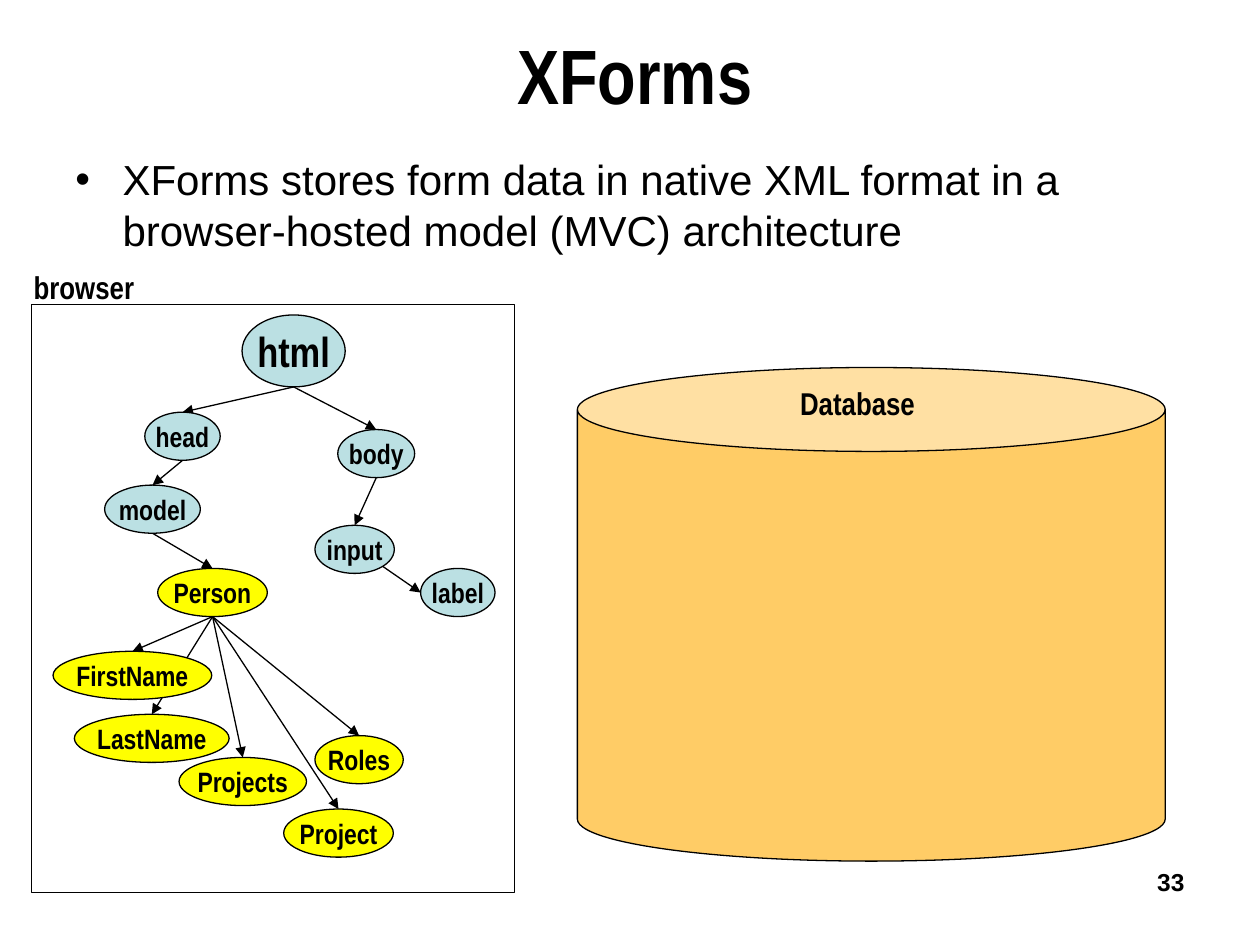
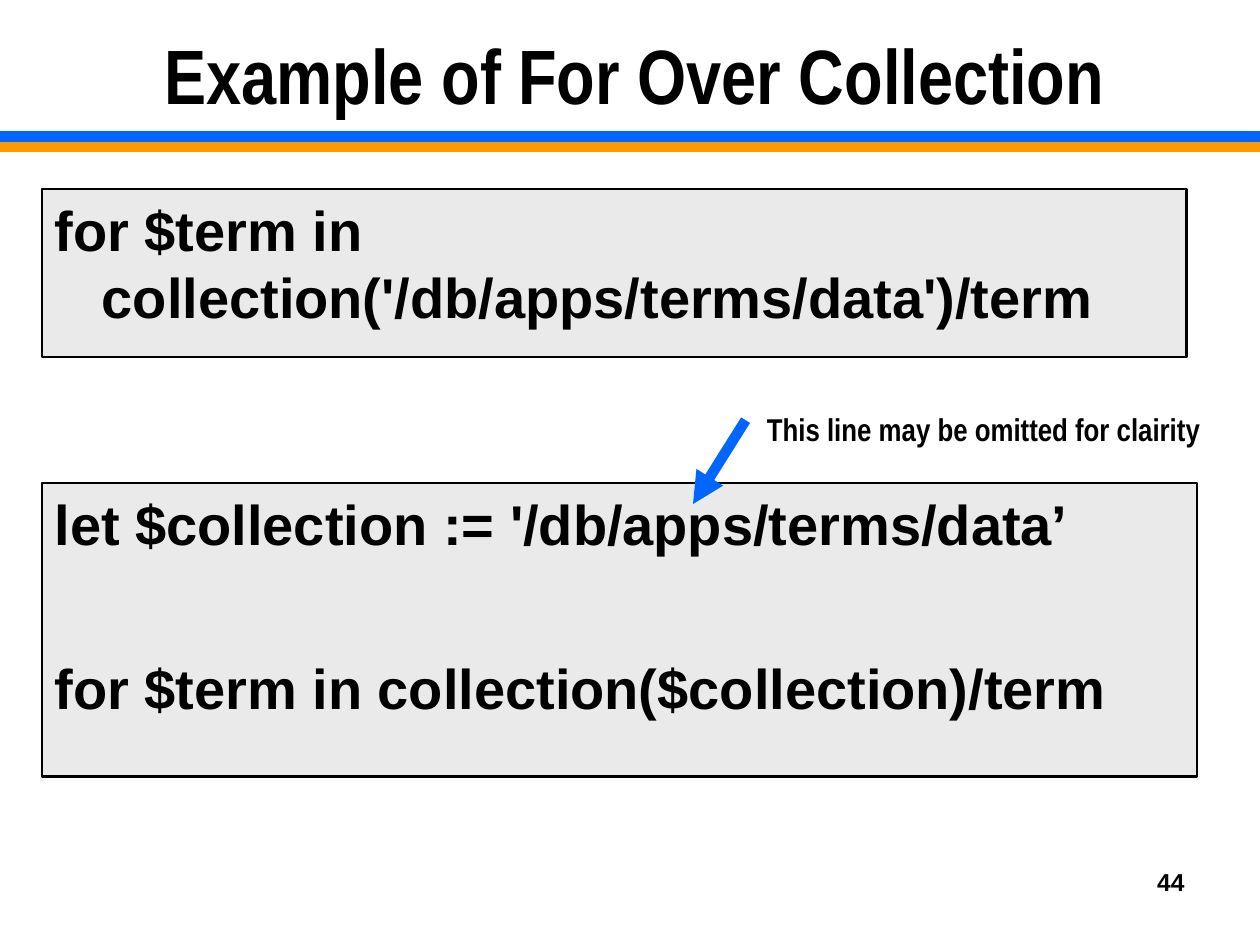
"""Build two slides: the XForms model tree and a loop over a collection."""
import dataclasses
import math

import pptx
import pptx.dml.color
import pptx.enum.shapes
import pptx.enum.text
import pptx.oxml
import pptx.util

Kind = pptx.enum.shapes.MSO_SHAPE
Align = pptx.enum.text.PP_ALIGN
Anchor = pptx.enum.text.MSO_ANCHOR


@dataclasses.dataclass(frozen=True)
class Theme:
    ink: str = "000000"
    blue: str = "0066FF"
    orange: str = "FF9900"
    sand: str = "FFCC66"
    teal: str = "BBE0E3"
    yellow: str = "FFFF00"
    grey: str = "EAEAEA"
    sans: str = "Arial"
    slim: str = "Arial Narrow"
    head: int = 44
    code: int = 32
    list: int = 24
    note: int = 18
    node: int = 16
    foot: int = 14
    thin: float = 0.75
    frame: float = 1.5
    thick: float = 6


THEME = Theme()
HANG = 0.95
GAP = 55
LOW = 0.97

FORM = {
    "title": "XForms",
    "list": ["XForms stores form data in native XML format in a "
             "browser-hosted model (MVC) architecture"],
    "page": "33",
}
NOTES = [
    ("Database", (15.88, 7.62, 2.82, 1.02)),
    ("browser", (0.43, 5.28, 2.54, 1.02)),
]
PAGE = {
    "html": (4.88, 6.35, 2.08, 1.45),
    "head": (2.92, 8.31, 1.52, LOW),
    "body": (6.81, 8.66, 1.55, LOW),
    "input": (6.35, 10.59, 1.6, LOW),
    "label": (8.48, 11.46, 1.5, LOW),
    "model": (2.11, 9.78, 1.93, LOW),
}
DATA = {
    "Person": (3.18, 11.46, 2.21, LOW),
    "FirstName": (1.07, 13.13, 3.2, LOW),
    "LastName": (1.5, 14.4, 3.12, LOW),
    "Projects": (3.61, 15.27, 2.57, LOW),
    "Project": (5.72, 16.31, 2.21, LOW),
    "Roles": (6.35, 14.83, 1.78, LOW),
}
TREE = {
    "html": ["head", "body"],
    "head": ["model"],
    "body": ["input"],
    "model": ["Person"],
    "Person": ["FirstName", "LastName", "Projects", "Roles", "Project"],
}
LOOP = {
    "title": "Example of For Over Collection",
    "short": ["for $term in collection('/db/apps/terms/data')/term"],
    "long": ["let $collection := '/db/apps/terms/data’",
             "for $term in collection($collection)/term"],
    "note": "This line may be omitted for clairity",
    "page": "44",
}


def cms(*vals):
    return [pptx.util.Cm(val) for val in vals]


def tint(hue):
    return pptx.dml.color.RGBColor.from_string(hue)


def place(shape, at):
    shape.left, shape.top, shape.width, shape.height = cms(*at)


def write(shape, lines, size, font=THEME.slim, bold=True, align=Align.LEFT,
          anchor=Anchor.TOP, wrap=True, pad=(0.25, 0.13), hang=0,
          dot=False, gap=0):
    frame = shape.text_frame
    frame.auto_size = pptx.enum.text.MSO_AUTO_SIZE.NONE
    frame.word_wrap = wrap
    frame.vertical_anchor = anchor
    frame.margin_left = frame.margin_right = pptx.util.Cm(pad[0])
    frame.margin_top = frame.margin_bottom = pptx.util.Cm(pad[1])
    for rank, line in enumerate(lines):
        para = frame.add_paragraph() if rank else frame.paragraphs[0]
        para.text = line
        para.alignment = align
        para.space_before = pptx.util.Pt(gap if rank else 0)
        props = para._p.get_or_add_pPr()
        props.set("marL", str(pptx.util.Cm(hang)))
        props.set("indent", str(pptx.util.Cm(-hang)))
        mark = pptx.oxml.ns.qn("a:buChar" if dot else "a:buNone")
        item = props.makeelement(mark, {"char": "•"} if dot else {})
        props.append(item)
        para.font.size = pptx.util.Pt(size)
        para.font.name = font
        para.font.bold = bold
        para.font.color.rgb = tint(THEME.ink)


def paint(shape, fill=None, width=THEME.thin):
    if fill:
        shape.fill.solid()
        shape.fill.fore_color.rgb = tint(fill)
    else:
        shape.fill.background()
    shape.line.color.rgb = tint(THEME.ink)
    shape.line.width = pptx.util.Pt(width)
    shape.shadow.inherit = False


def draw(slide, kind, at, fill=None, width=THEME.thin):
    shape = slide.shapes.add_shape(kind, *cms(*at))
    paint(shape, fill, width)
    return shape


def join(slide, start, end, hue=THEME.ink, width=THEME.thin, tip=True):
    straight = pptx.enum.shapes.MSO_CONNECTOR.STRAIGHT
    line = slide.shapes.add_connector(straight, *cms(*start, *end))
    line.line.color.rgb = tint(hue)
    line.line.width = pptx.util.Pt(width)
    if tip:
        stroke = line.line._get_or_add_ln()
        tail = pptx.oxml.ns.qn("a:tailEnd")
        stroke.append(stroke.makeelement(tail, {"type": "triangle"}))
    props = line._element.spPr
    props.append(props.makeelement(pptx.oxml.ns.qn("a:effectLst"), {}))


def label(slide, text, at):
    box = slide.shapes.add_textbox(*cms(*at))
    write(box, [text], THEME.note, wrap=False)


def start(deck, title, page):
    slide = deck.slides.add_slide(deck.slide_layouts[1])
    place(slide.shapes.title, (1.27, 0.43, 23.06, 2.11))
    write(slide.shapes.title, [title], THEME.head, align=Align.CENTER,
          anchor=Anchor.MIDDLE)
    foot = slide.shapes.add_textbox(*cms(18.21, 17.35, 5.92, 1.32))
    write(foot, [page], THEME.foot, font=THEME.sans, align=Align.RIGHT)
    return slide


def spot(at, across, down):
    return at[0] + at[2] * across, at[1] + at[3] * down


def plant(slide):
    nodes = PAGE | DATA
    for root, kids in TREE.items():
        for kid in kids:
            join(slide, spot(nodes[root], 0.5, 1), spot(nodes[kid], 0.5, 0))
    edge = 0.5 + math.sqrt(0.5) / 2
    join(slide, spot(nodes["input"], edge, edge),
         spot(nodes["label"], 0, 0.5))
    for name, at in nodes.items():
        fill = THEME.yellow if name in DATA else THEME.teal
        size = THEME.list if name == "html" else THEME.node
        node = draw(slide, Kind.OVAL, at, fill)
        write(node, [name], size, align=Align.CENTER,
              anchor=Anchor.MIDDLE, wrap=False, pad=(0, 0))


def form(deck):
    slide = start(deck, FORM["title"], FORM["page"])
    body = slide.placeholders[1]
    place(body, (1.27, 2.97, 23.29, 3.18))
    write(body, FORM["list"], THEME.list, font=THEME.sans, bold=False,
          hang=HANG, dot=True)
    store = draw(slide, Kind.CAN, (11.64, 7.41, 11.85, 9.95), THEME.sand)
    store.adjustments[0] = 0.17
    draw(slide, Kind.RECTANGLE, (0.64, 6.14, 9.74, 11.85))
    plant(slide)
    for text, at in NOTES:
        label(slide, text, at)


def loop(deck):
    slide = start(deck, LOOP["title"], LOOP["page"])
    for hue, top in ((THEME.orange, 2.96), (THEME.blue, 2.75)):
        join(slide, (0, top), (25.4, top), hue, THEME.thick, tip=False)
    short = slide.placeholders[1]
    place(short, (0.85, 3.81, 23.07, 3.39))
    paint(short, THEME.grey, THEME.frame)
    long = draw(slide, Kind.RECTANGLE, (0.85, 9.74, 23.28, 5.92),
                THEME.grey, THEME.frame)
    for shape, part in ((short, "short"), (long, "long")):
        write(shape, LOOP[part], THEME.code, font=THEME.sans,
              hang=HANG, gap=GAP)
    join(slide, (15.03, 8.47), (13.97, 10.16), THEME.blue, THEME.thick)
    label(slide, LOOP["note"], (15.21, 8.13, 9.25, 1.02))


def main():
    deck = pptx.Presentation()
    deck.slide_width, deck.slide_height = cms(25.4, 19.05)
    form(deck)
    loop(deck)
    deck.save("out.pptx")


if __name__ == "__main__":
    main()
